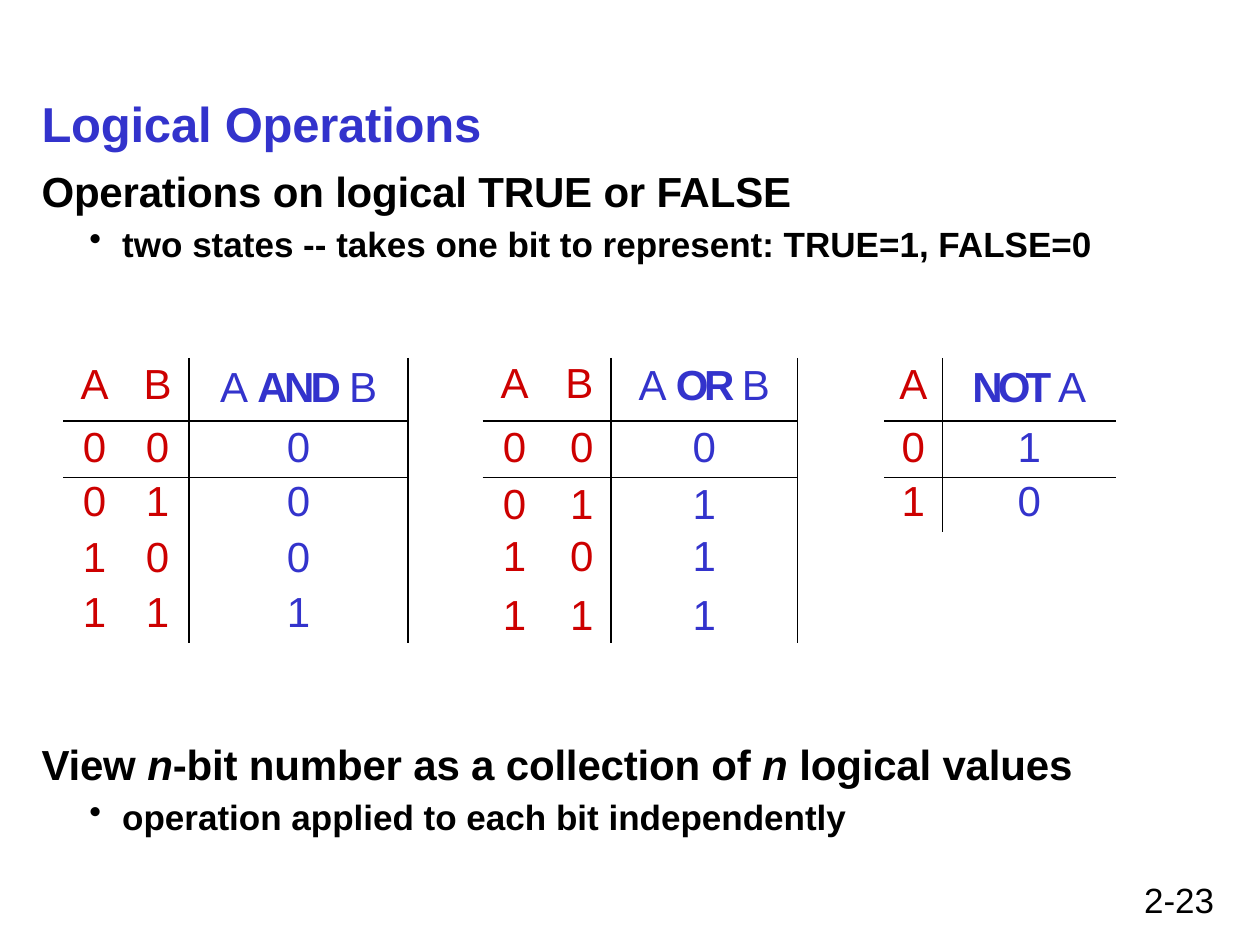
from dataclasses import dataclass
from typing import NamedTuple

from lxml import etree
from pptx import Presentation
from pptx.dml.color import RGBColor
from pptx.enum import text
from pptx.oxml import ns
from pptx.util import Inches, Pt

BLACK = RGBColor(0x00, 0x00, 0x00)
BLUE = RGBColor(0x33, 0x33, 0xCC)
RED = RGBColor(0xCD, 0x00, 0x00)
FONT = "Arial"
NO_STYLE = "{2D5ABB26-0587-4C30-8999-92F81FD0307C}"
COLUMNS = [0.5, 0.5, 1.74, 0.59, 0.51, 0.51, 1.48, 0.69, 0.46, 1.38]
ROWS = [0.5, 0.45, 0.43, 0.45, 0.43]
CENTER, RIGHT = text.PP_ALIGN.CENTER, text.PP_ALIGN.RIGHT


class Run(NamedTuple):
    text: str
    bold: bool = False
    italic: bool = False
    spacing: float = 0


class Para(NamedTuple):
    runs: list[Run]
    size: float
    bullet: bool = False


class Box(NamedTuple):
    left: float
    top: float
    width: float
    height: float
    inset: float
    color: RGBColor
    paras: list[Para]


@dataclass
class TruthTable:
    column: int
    inputs: list[str]
    output: list[Run]
    values: list[str]
    insets: list[float]
    output_inset: float
    right_rule: float = 0
    last_input_right: bool = False


def bold(value: str, spacing: float = 0) -> Run:
    return Run(value, bold=True, spacing=spacing)


def variable(value: str) -> Run:
    return Run(value, bold=True, italic=True)


BOXES = [
    Box(9.08, 6.95, 0.61, 0.34, 0.02, BLACK, [Para([Run("2-23")], 20)]),
    Box(0.33, 0.69, 3.55, 0.49, 0.05, BLUE,
        [Para([bold("Logical Operations", -0.1)], 28)]),
    Box(0.33, 1.2, 8.39, 0.88, 0.11, BLACK, [
        Para([bold("Operations on logical TRUE or FALSE", -0.1)], 24),
        Para([bold("two states -- takes one bit to represent: TRUE=1, FALSE=0")],
             20, True)]),
    Box(0.33, 5.75, 8.3, 0.88, 0.11, BLACK, [
        Para([bold("View ", -0.1), variable("n"),
              bold("-bit number as a collection of ", -0.1), variable("n "),
              bold("logical values", -0.1)], 24),
        Para([bold("operation applied to each bit independently")], 20, True)]),
]

TABLES = [
    TruthTable(0, ["A", "B"], [Run("A "), bold("AND ", -2.1), Run("B")],
               ["000", "010", "100", "111"],
               [0.03, 0.03, 0.01, 0.02, 0.01], 0.05, right_rule=1),
    TruthTable(4, ["A", "B"], [Run("A "), bold("OR ", -2.5), Run("B")],
               ["000", "011", "101", "111"],
               [0.02, 0.03, 0.03, 0.01, 0.03], 0.04, right_rule=0.5,
               last_input_right=True),
    TruthTable(8, ["A"], [bold("NOT ", -2.8), Run("A")], ["01", "10"],
               [0.03, 0.03, 0.01], 0.05),
]


def add_runs(p, runs: list[Run], size: float, color: RGBColor) -> None:
    for run in runs:
        r = p.add_run()
        r.text = run.text
        r.font.name, r.font.size = FONT, Pt(size)
        r.font.bold, r.font.italic = run.bold, run.italic
        r.font.color.rgb = color
        if run.spacing:
            r._r.get_or_add_rPr().set("spc", str(round(run.spacing * 100)))


def set_bullet(p) -> None:
    props = p._p.get_or_add_pPr()
    props.set("marL", str(Inches(0.64)))
    props.set("indent", str(Inches(-0.26)))
    etree.SubElement(props, ns.qn("a:buChar")).set("char", "•")
    p.space_before = Pt(3.8)


def draw_box(s, box: Box) -> None:
    sp = s.shapes.add_textbox(*map(Inches, box[:4]))
    tf = sp.text_frame
    tf.word_wrap = True
    tf.margin_left = tf.margin_right = tf.margin_bottom = 0
    tf.margin_top = Inches(box.inset)
    for i, para in enumerate(box.paras):
        p = tf.add_paragraph() if i else tf.paragraphs[0]
        if para.bullet:
            set_bullet(p)
        add_runs(p, para.runs, para.size, box.color)


def set_border(cell, side: str, width: float) -> None:
    line = etree.SubElement(cell._tc.get_or_add_tcPr(), ns.qn(f"a:ln{side}"))
    if not width:
        line.set("w", "0")
        etree.SubElement(line, ns.qn("a:noFill"))
        return
    line.set("w", str(Pt(width)))
    fill = etree.SubElement(line, ns.qn("a:solidFill"))
    etree.SubElement(fill, ns.qn("a:srgbClr")).set("val", str(BLACK))


def fill_truth_table(table, tt: TruthTable, rules: dict) -> None:
    last = len(tt.inputs)
    heads = [[Run(name)] for name in tt.inputs] + [tt.output]
    rows = [heads] + [[[Run(bit)] for bit in value] for value in tt.values]
    for row, (entries, inset) in enumerate(zip(rows, tt.insets)):
        for i, runs in enumerate(entries):
            col = tt.column + i
            is_output = i == last
            cell = table.cell(row, col)
            top = tt.output_inset if is_output and row == 0 else inset
            cell.margin_top = Inches(top)
            p = cell.text_frame.paragraphs[0]
            p.alignment = CENTER
            if tt.last_input_right and i == last - 1:
                p.alignment = RIGHT
                cell.margin_right = Inches(0.14)
            add_runs(p, runs, 24, BLUE if is_output else RED)
            rules["right", row, col] = (
                tt.right_rule if is_output else float(i == last - 1))
            rules["bottom", row, col] = {0: 1, 1: 0.5}.get(row, 0)


def draw_tables(s) -> None:
    frame = s.shapes.add_table(len(ROWS), len(COLUMNS), Inches(0.5), Inches(2.84),
                               Inches(sum(COLUMNS)), Inches(sum(ROWS)))
    table = frame.table
    table.first_row = table.horz_banding = False
    table._tbl.tblPr.find(ns.qn("a:tableStyleId")).text = NO_STYLE
    for column, width in zip(table.columns, COLUMNS):
        column.width = Inches(width)
    for row, height in zip(table.rows, ROWS):
        row.height = Inches(height)
    for cell in table.iter_cells():
        cell.margin_left = cell.margin_right = 0
        cell.margin_top = cell.margin_bottom = 0
    rules = {}
    for tt in TABLES:
        fill_truth_table(table, tt, rules)
    for row in range(len(ROWS)):
        for col in range(len(COLUMNS)):
            cell = table.cell(row, col)
            edges = {"L": ("right", row, col - 1), "R": ("right", row, col),
                     "T": ("bottom", row - 1, col), "B": ("bottom", row, col)}
            for side, key in edges.items():
                set_border(cell, side, rules.get(key, 0))
            cell.fill.background()


def main() -> None:
    prs = Presentation()
    prs.slide_width, prs.slide_height = Inches(10), Inches(7.5)
    s = prs.slides.add_slide(prs.slide_layouts[6])
    for box in BOXES:
        draw_box(s, box)
    draw_tables(s)
    prs.save("out.pptx")


if __name__ == "__main__":
    main()
